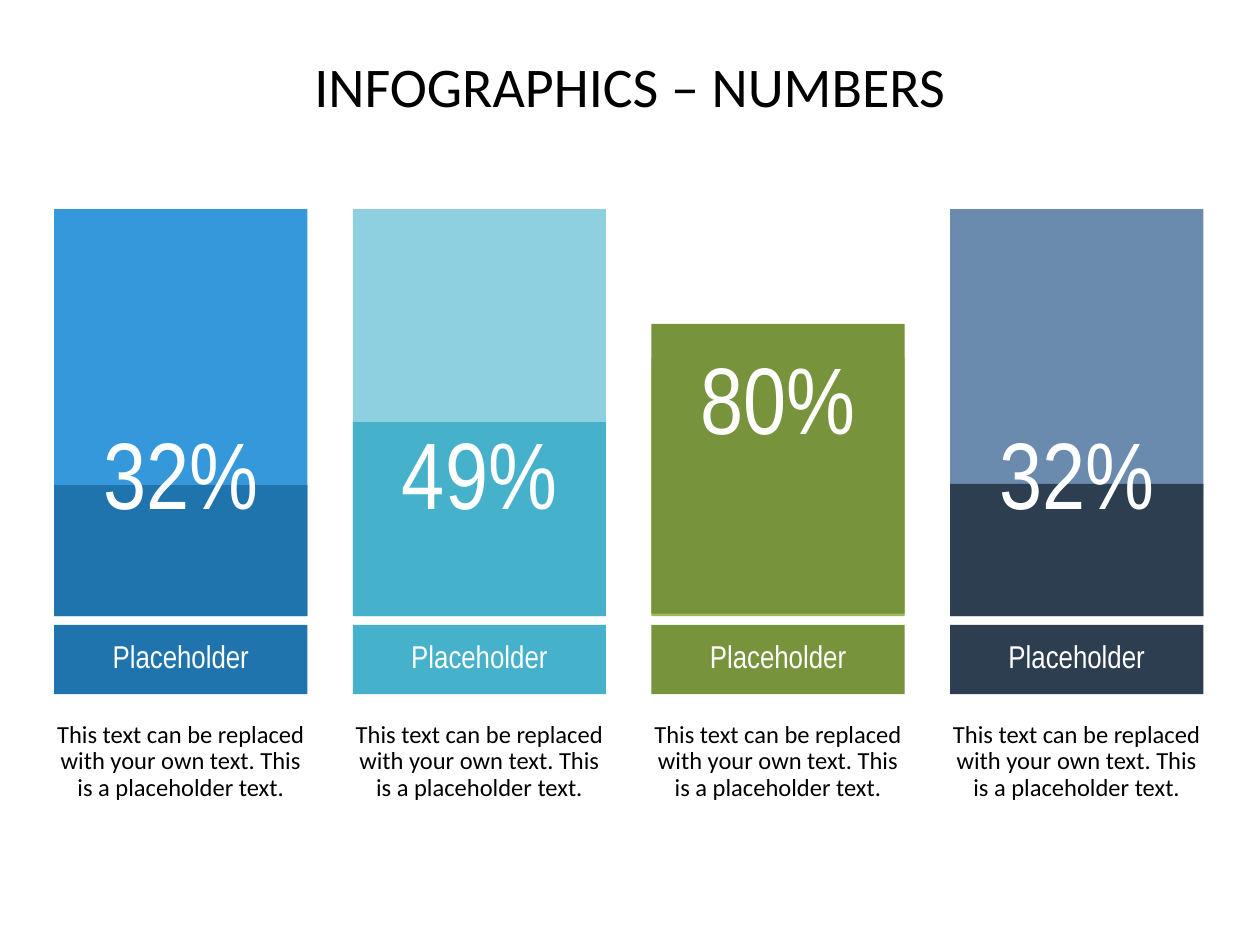
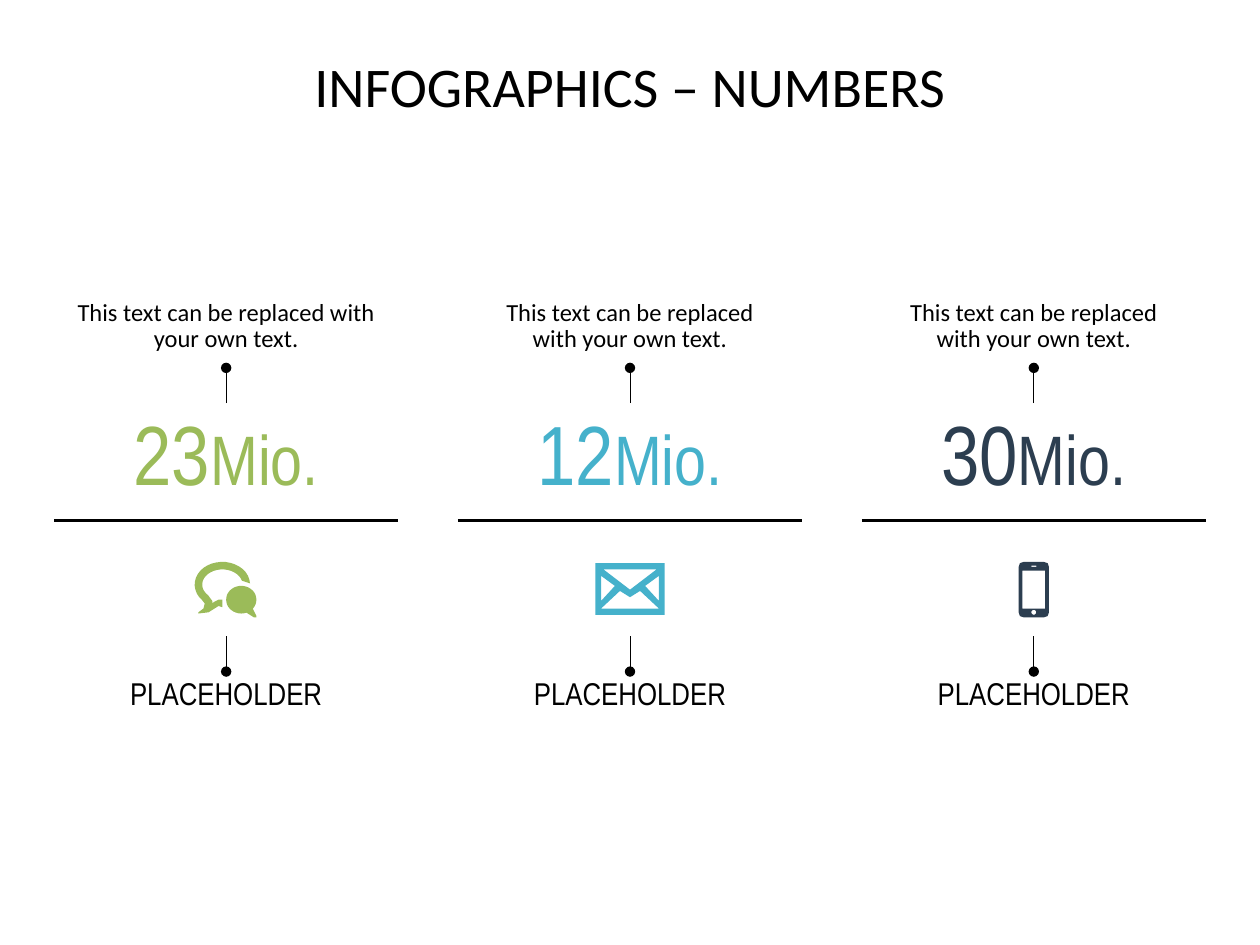
"""Build two infographic slides: percentage bars and figures in millions."""
from math import cos, radians, sin

from lxml import etree
from pptx import Presentation
from pptx import util as u
from pptx.dml.color import RGBColor
from pptx.enum import shapes, text
from pptx.oxml.ns import qn

HEAD, BODY = "Arial Narrow", "Calibri"
WHITE, BLACK = "FFFFFF", "000000"
BLUE, TEAL, GREEN, NAVY = "1F74AD", "45B1CB", "9BBB59", "2C3E50"
W, H, MARGIN = 10, 7.5, 0.43


def rgb(value):
    """Turn a hex string into a colour."""
    return RGBColor.from_string(value)


def box(shape_tree, x, y, w, h, fill=None, runs=(), font=HEAD, color=WHITE,
        spacing=0.8, inset=(0, 0, 0, 0), anchor=text.MSO_ANCHOR.MIDDLE):
    """Add a filled rectangle or a text box, with centred runs of (words, size)."""
    place = [u.Inches(v) for v in (x, y, w, h)]
    if fill:
        sp = shape_tree.add_shape(shapes.MSO_SHAPE.RECTANGLE, *place)
        sp.shadow.inherit = False
        sp.fill.solid()
        sp.fill.fore_color.rgb = rgb(fill)
        sp.line.fill.background()
    else:
        sp = shape_tree.add_textbox(*place)
    if not runs:
        return
    tf = sp.text_frame
    tf.word_wrap = True
    tf.vertical_anchor = anchor
    tf.margin_left, tf.margin_top, tf.margin_right, tf.margin_bottom = [
        u.Inches(v) for v in inset]
    p = tf.paragraphs[0]
    p.alignment = text.PP_ALIGN.CENTER
    p.line_spacing = spacing
    p.space_after = u.Pt(10)
    for words, size in runs:
        r = p.add_run()
        r.text = words
        r.font.size, r.font.name = u.Pt(size), font
        r.font.color.rgb = rgb(color)


prs = Presentation()
prs.slide_width, prs.slide_height = u.Inches(W), u.Inches(H)
slides = [prs.slides.add_slide(prs.slide_layouts[5]) for _ in range(2)]
for s in slides:
    title = s.shapes.title
    title.left, title.top = u.Inches(MARGIN), u.Inches(0.47)
    title.width, title.height = u.Inches(W - 2 * MARGIN), u.Inches(1.18)
    tf = title.text_frame
    tf.text = "INFOGRAPHICS – NUMBERS"
    tf.auto_size = text.MSO_AUTO_SIZE.NONE
    tf.vertical_anchor = text.MSO_ANCHOR.TOP
    tf.margin_left = tf.margin_top = tf.margin_right = tf.margin_bottom = 0
    p = tf.paragraphs[0]
    p.alignment, p.line_spacing = text.PP_ALIGN.CENTER, 0.9
    font = p.runs[0].font
    font.size, font.name = u.Pt(32), BODY
    font.color.rgb = rgb(BLACK)

bar_w, bar_pitch, bar_top, bar_bottom = 2.01, 2.37, 1.66, 4.89
bars = [
    ("32%", "3498DB", bar_top, BLUE, 3.85, bar_bottom, 2.85),
    ("49%", "8FD0E0", bar_top, TEAL, 3.35, bar_bottom, 2.85),
    ("80%", GREEN, 2.84, "77933C", 2.57, 4.87, bar_top),
    ("32%", "6A8BAD", bar_top, NAVY, 3.84, bar_bottom, 2.85),
]
tree = slides[0].shapes
for i, (share, back, back_top, front, top, bottom, label_top) in enumerate(bars):
    x = MARGIN + i * bar_pitch
    box(tree, x, back_top, bar_w, bar_bottom - back_top, back)
    box(tree, x, top, bar_w, bottom - top, front)
    box(tree, x, label_top, bar_w, bar_bottom - label_top, runs=[(share, 54)],
        inset=(0.08, 0.08, 0.08, 0.16))
    box(tree, x, 4.96, bar_w, 0.55, front, [("Placeholder", 18)])
    box(tree, x, 5.73, bar_w, 0.65, font=BODY, color=BLACK, spacing=0.9,
        runs=[("This text can be replaced with your own text. "
               "This is a placeholder text.", 14)], anchor=text.MSO_ANCHOR.TOP)

arcs = [[(cx + rx * cos(radians(a)), cy + ry * sin(radians(a))) for a in angles]
        for cx, cy, rx, ry, angles in (
            (12, 8, 12, 11, range(70, 401, 10)),
            (-3, -4, 22, 18, range(357, 129, -10)),
            (-3, -4, 16, 12, range(135, 351, 10)),
            (0, 18, 2, 2, range(0, 360, 30)))]
front_bubble, outer_bubble, inner_bubble, button = arcs
chat = [
    front_bubble + [(22, 17), (24, 21), (24, 22), (22, 22)],
    outer_bubble + [(-17, 11), (-18, 15), (-22, 18), (-22, 19), (-14, 18), (-6, 13),
                    (-3, 14), (-3, 8), (-6, 8), (-10, 10), (-11, 11), (-11, 9)]
    + inner_bubble,
]
mail = [
    [(-27.5, -21), (27.5, -21), (27.5, 20), (-27.5, 20)],
    [(-8, 1), (-23, 15), (23, 15), (8, 1), (0, 6)],
    [(-21, -16), (0, 0), (21, -16)],
    [(23, 9), (23, -11), (12, -3)],
    [(-23, 9), (-23, -11), (-12, -3)],
]
phone = [
    [(-12, -18), (-11, -21), (-8, -22), (8, -22), (11, -21), (12, -18),
     (12, 18), (11, 21), (8, 22), (-8, 22), (-11, 21), (-12, 18)],
    [(-9, -15), (9, -15), (9, 15), (-9, 15)],
    [(-2, -19), (2, -19), (2, -18), (-2, -18)],
    button,
]

col_w = 2.73
col_pitch = (W - 2 * MARGIN - col_w) / 2
columns = [("23", GREEN, 2.38, chat), ("12", TEAL, 2.27, mail), ("30", NAVY, 2.09, phone)]
tree = slides[1].shapes
for i, (number, color, text_w, icon) in enumerate(columns):
    x = MARGIN + i * col_pitch
    mid = x + col_w / 2
    for x1, y1, x2, y2, weight in ((x, 4.13, x + col_w, 4.13, 1.5),
                                   (mid, 3.2, mid, 2.92, 0.5),
                                   (mid, 5.05, mid, 5.33, 0.5)):
        line = tree.add_connector(shapes.MSO_CONNECTOR.STRAIGHT,
                                  *[u.Inches(v) for v in (x1, y1, x2, y2)])
        line.line.color.rgb = rgb(BLACK)
        line.line.width = u.Pt(weight)
        props = line._element.spPr
        if x1 == x2:
            etree.SubElement(props.find(qn("a:ln")), qn("a:tailEnd"), type="oval")
        etree.SubElement(props, qn("a:effectLst"))
    box(tree, mid - text_w / 2, 2.38, text_w, 0.54, font=BODY, color=BLACK, spacing=0.9,
        runs=[("This text can be replaced with your own text.", 14)],
        inset=(0, 0, 0, 0.12))
    box(tree, x, 3.2, col_w, 0.93, runs=[(number, 48), ("Mio.", 40)], color=color)
    box(tree, mid - 0.94, 5.38, 1.88, 0.4, runs=[("PLACEHOLDER", 18)], color=BLACK,
        spacing=0.9, inset=(0, 0, 0, 0.12))

    outlines = [[(10 * px, 10 * py) for px, py in outline] for outline in icon]
    builder = tree.build_freeform(*outlines[0][0], scale=u.Inches(1) / 1000)
    for outline in outlines:
        builder.move_to(*outline[0])
        builder.add_line_segments(outline[1:], close=True)
    sp = builder.convert_to_shape(u.Inches(mid), u.Inches(4.68))
    sp.shadow.inherit = False
    sp.fill.solid()
    sp.fill.fore_color.rgb = rgb(color)
    sp.line.fill.background()

prs.save("out.pptx")
